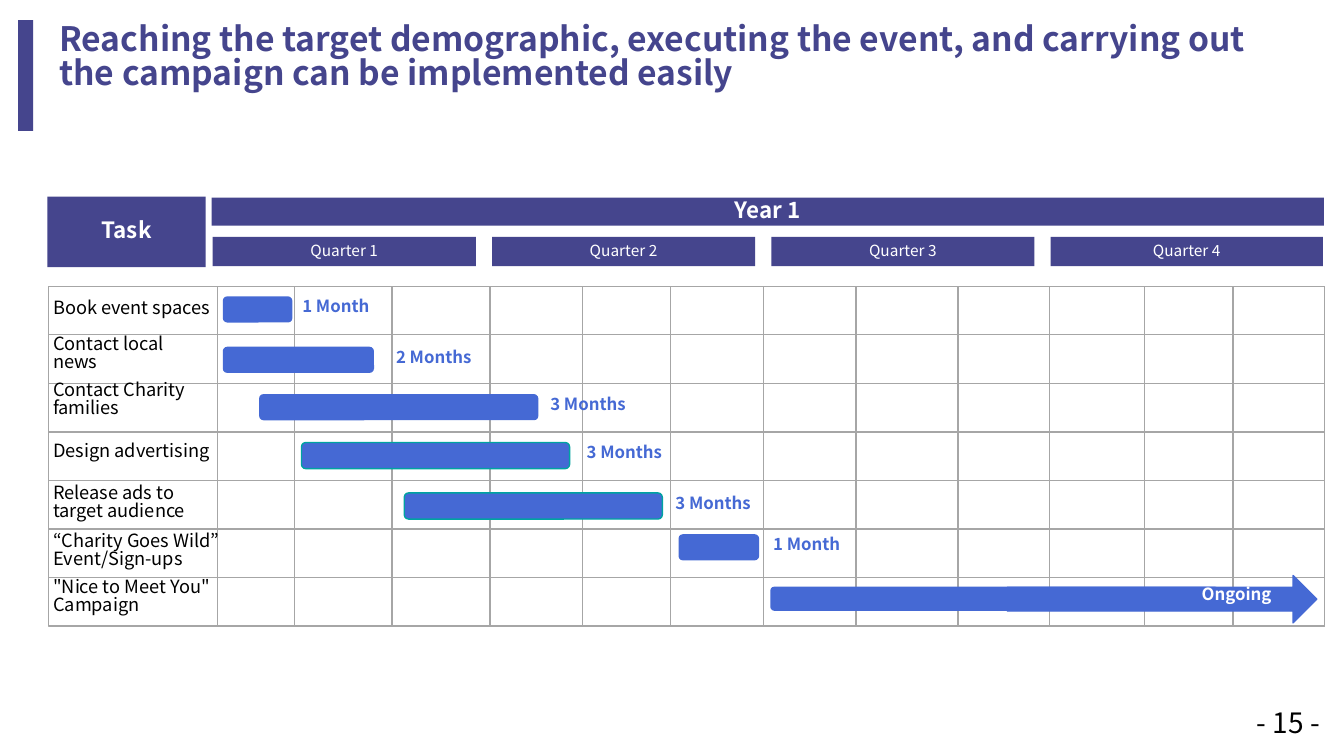
from itertools import product

from pptx import Presentation
from pptx import util as u
from pptx.dml.color import RGBColor
from pptx.enum import shapes, text

SIZE = (13.33, 7.5)
FONT = "Noto Sans CJK KR"
COLORS = {"navy": "45458D", "blue": "4569D4", "teal": "00A3A1",
          "grid": "A6A6A6", "white": "FFFFFF", "black": "000000"}

TITLE = ["Reaching the target demographic, executing the event, and carrying out",
         "the campaign can be implemented easily"]
QUARTERS = ["Quarter 1", "Quarter 2", "Quarter 3", "Quarter 4"]
QUARTER_LEFT, QUARTER_PITCH, QUARTER_GAP = 2.11, 2.77, 0.16

# Task lines, label top, label width, bar left, bar top, bar width, outline, duration
TASKS = [
    (["Book event spaces"], 2.93, 2.01, 2.21, 2.94, 0.69, None, "1 Month", 2.9),
    (["Contact local news"], 3.28, 1.74, 2.21, 3.44, 1.5, None, "2 Months", 3.83),
    (["Contact Charity families"], 3.74, 1.74, 2.57, 3.91, 2.77, None, "3 Months", 5.36),
    (["Design advertising"], 4.35, 2.21, 2.99, 4.39, 2.66, "teal", "3 Months", 5.72),
    (["Release ads to target audience"], 4.76, 1.89, 4.01, 4.89, 2.56, "teal", "3 Months", 6.6),
    (["“Charity Goes Wild”", "Event/Sign-ups"], 5.24, 2.54, 6.73, 5.3, 0.8, None, "1 Month", 7.57),
    (['"Nice to Meet You" Campaign'], 5.69, 2.21, 7.64, 5.82, 4.45, None, "Ongoing", 11.82),
]

GRID_LEFT, GRID_TOP, GRID_WIDTH, GRID_BOTTOM = 0.48, 2.84, 12.66, 6.21
ROW_HEIGHT = (GRID_BOTTOM - GRID_TOP) / len(TASKS)
GRID_SPLIT = GRID_TOP + 3 * ROW_HEIGHT
# Left and right edges of the outlined months; the others show between them
MONTHS = [(2.16, 2.92), (3.89, 4.86), (4.86, 5.78), (6.65, 7.57),
          (7.57, 8.49), (9.5, 10.41), (10.41, 11.35), (12.23, 13.14)]

prs = Presentation()
prs.slide_width, prs.slide_height = map(u.Inches, SIZE)
slide = prs.slides.add_slide(prs.slide_layouts[6])


def rgb(name):
    return RGBColor.from_string(COLORS[name])


def write(sp, lines, size, color, bold=False, align=text.PP_ALIGN.LEFT):
    tf = sp.text_frame
    tf.text = "\n".join(lines)
    for p in tf.paragraphs:
        p.alignment = align
        p.line_spacing = 0.83
        for r in p.runs:
            r.font.name, r.font.size, r.font.bold = FONT, u.Pt(size), bold
            r.font.color.rgb = rgb(color)


def add_text(box, lines, size, color, wrap=True, **style):
    sp = slide.shapes.add_textbox(*map(u.Inches, box))
    sp.text_frame.word_wrap = wrap
    write(sp, lines, size, color, **style)


def add_block(box, fill=None, line=None, kind=shapes.MSO_SHAPE.RECTANGLE):
    sp = slide.shapes.add_shape(kind, *map(u.Inches, box))
    sp.shadow.inherit = False
    if fill:
        sp.fill.solid()
        sp.fill.fore_color.rgb = rgb(fill)
    else:
        sp.fill.background()
    if line:
        sp.line.color.rgb = rgb(line)
        sp.line.width = u.Pt(1)
    else:
        sp.line.fill.background()
    return sp


def add_header(box, label, size, bold):
    sp = add_block(box, "navy")
    sp.text_frame.vertical_anchor = text.MSO_ANCHOR.MIDDLE
    write(sp, [label], size, "white", bold, text.PP_ALIGN.CENTER)


add_block((0.18, 0.2, 0.15, 1.1), "navy")
add_text((0.49, 0.2, 12.05, 0.91), TITLE, 24, "navy", wrap=False, bold=True)

add_header((0.47, 1.95, 1.57, 0.7), "Task", 16, True)
add_header((2.1, 1.96, 11.03, 0.28), "Year 1", 16, True)
for i, quarter in enumerate(QUARTERS):
    left = QUARTER_LEFT + i * QUARTER_PITCH
    width = 2.7 if i == len(QUARTERS) - 1 else QUARTER_PITCH - QUARTER_GAP
    add_header((left, 2.35, width, 0.29), quarter, 11, False)

for row in range(len(TASKS)):
    add_block((GRID_LEFT, GRID_TOP + row * ROW_HEIGHT, GRID_WIDTH, ROW_HEIGHT), line="grid")
halves = [(GRID_TOP, GRID_SPLIT), (GRID_SPLIT, GRID_BOTTOM)]
for (left, right), (top, bottom) in product(MONTHS, halves):
    add_block((left, top, right - left, bottom - top), line="grid")

add_block((9.99, 5.71, 3.07, 0.47), "blue", "blue", shapes.MSO_SHAPE.RIGHT_ARROW)
for task, label_top, label_width, left, top, width, outline, duration, note_left in TASKS:
    ongoing = duration == "Ongoing"
    add_text((0.43, label_top, label_width, 0.27 + 0.27 * (label_top != 2.93)),
             task, 13, "black")
    add_block((left, top, width, 0.24 if ongoing else 0.26), "blue", outline,
              shapes.MSO_SHAPE.ROUNDED_RECTANGLE)
    add_text((note_left, top - (0.04 if ongoing else 0.02), 0.97, 0.3),
             [duration], 12, "white" if ongoing else "blue", bold=True)

add_text((12.22, 7.01, 1.12, 0.44), ["- 15 -"], 20, "black", align=text.PP_ALIGN.CENTER)

prs.save("out.pptx")
